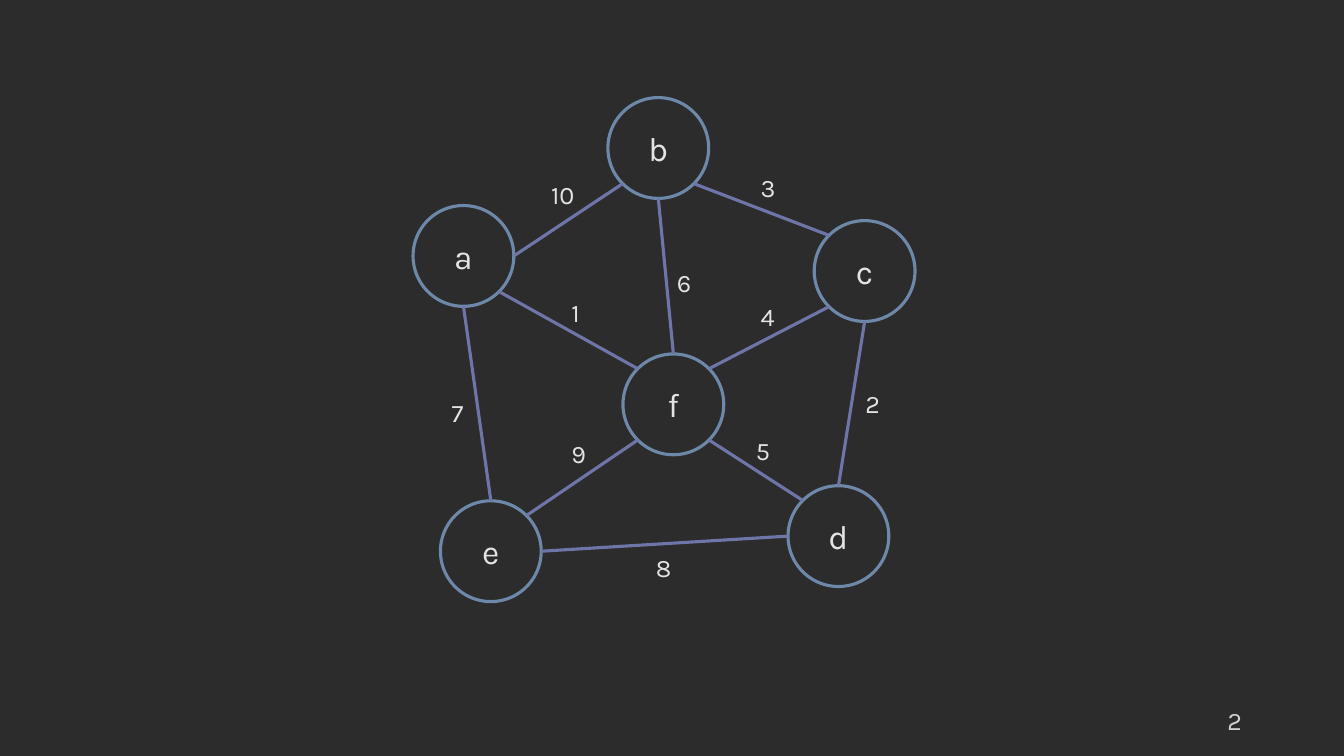
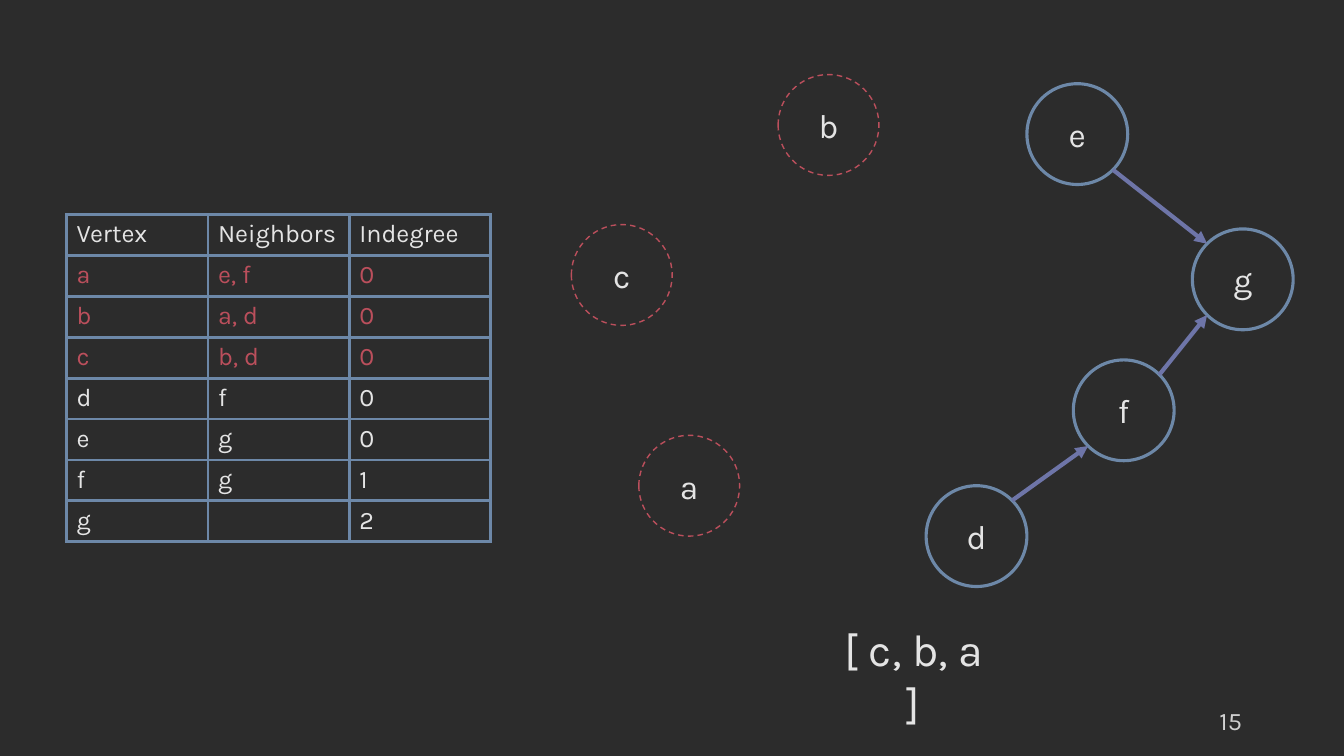
from math import cos, radians, sin

from pptx import Presentation
from pptx.dml.color import RGBColor
from pptx.enum import dml, shapes, text
from pptx.oxml import ns, xmlchemy
from pptx.util import Cm, Pt

BACKGROUND = RGBColor(0x2C, 0x2C, 0x2C)
LIGHT = RGBColor(0xE4, 0xE4, 0xE4)
FOOTER = RGBColor(0xD1, 0xD1, 0xD1)
BLUE = RGBColor(0x6D, 0x88, 0xA8)
VIOLET = RGBColor(0x6E, 0x75, 0xA8)
RED = RGBColor(0xBB, 0x4F, 0x5C)
FONT = "Karla"

NODE = 2.54  # diameter in cm
ANGLES = {"E": 0, "SE": 45, "S": 90, "SW": 135,
          "W": 180, "NW": 225, "N": 270, "NE": 315}

# Weighted graph: node corners, edges with their sides, weight labels
WEIGHTED_NODES = {"a": (0, 2.72), "b": (4.91, 0), "c": (10.11, 3.1),
                  "d": (9.45, 9.78), "e": (0.69, 10.16), "f": (5.29, 6.46)}
WEIGHTED_EDGES = [
    ("a", "E", "b", "SW"), ("a", "SE", "f", "NW"), ("a", "S", "e", "N"),
    ("b", "SE", "c", "NW"), ("b", "S", "f", "N"), ("c", "S", "d", "N"),
    ("e", "E", "d", "W"), ("f", "NE", "c", "SW"), ("f", "SE", "d", "NW"),
    ("f", "SW", "e", "NE")]
WEIGHTS = {"1": (3.74, 4.91), "2": (11.15, 7.19), "3": (8.51, 1.76),
           "4": (8.51, 5.01), "5": (8.39, 8.39), "6": (6.4, 4.14),
           "7": (0.72, 7.42), "8": (5.87, 11.33), "9": (3.74, 8.46),
           "10": (3.23, 1.93)}

# Directed graph: nodes already sorted are dashed
DIRECTED_NODES = {"a": (1.7, 9.09), "b": (5.21, 0), "c": (0, 3.78),
                  "d": (8.94, 10.36), "e": (11.48, 0.23),
                  "f": (12.65, 7.19), "g": (15.65, 3.89)}
DIRECTED_EDGES = [("d", "NE", "f", "SW"), ("e", "SE", "g", "NW"),
                  ("f", "NE", "g", "SW")]
SORTED = "abc"
VERTICES = [("Vertex", "Neighbors", "Indegree"),
            ("a", "e, f", "0"), ("b", "a, d", "0"), ("c", "b, d", "0"),
            ("d", "f", "0"), ("e", "g", "0"), ("f", "g", "1"), ("g", "", "2")]


def write(tf, words, size, color=LIGHT, align=text.PP_ALIGN.LEFT):
    p = tf.paragraphs[0]
    p.alignment = align
    if words:
        r = p.add_run()
        r.text = words
        r.font.name, r.font.size = FONT, Pt(size)
        r.font.color.rgb = color


def add_text(s, box, words, size, wrap=True, **style):
    tf = s.shapes.add_textbox(*map(Cm, box)).text_frame
    tf.word_wrap = wrap
    write(tf, words, size, **style)
    return tf


def add_page(prs, number):
    s = prs.slides.add_slide(prs.slide_layouts[6])
    tf = add_text(s, (23.93, 17.65, 7.62, 1.02), number, 18,
                  color=FOOTER, align=text.PP_ALIGN.RIGHT)
    tf.vertical_anchor = text.MSO_ANCHOR.MIDDLE
    return s


def add_node(s, x, y, name, done):
    sp = s.shapes.add_shape(shapes.MSO_SHAPE.OVAL, Cm(x), Cm(y), Cm(NODE), Cm(NODE))
    sp.shadow.inherit = False
    sp.fill.background()
    sp.line.color.rgb = RED if done else BLUE
    sp.line.width = Pt(1 if done else 2.25)
    if done:
        sp.line.dash_style = dml.MSO_LINE.DASH
    sp.text_frame.vertical_anchor = text.MSO_ANCHOR.MIDDLE
    write(sp.text_frame, name, 24, align=text.PP_ALIGN.CENTER)


def rim_point(corner, side):
    """Point on a node's rim at a compass side."""
    angle, radius = radians(ANGLES[side]), NODE / 2
    return (corner[0] + radius * (1 + cos(angle)),
            corner[1] + radius * (1 + sin(angle)))


def add_edge(s, start, end, arrow):
    c = s.shapes.add_connector(shapes.MSO_CONNECTOR.STRAIGHT,
                               *map(Cm, (*start, *end)))
    c.line.color.rgb = VIOLET
    c.line.width = Pt(3 if arrow else 2.25)
    sp_pr = c._element.spPr
    if arrow:
        tail = xmlchemy.OxmlElement("a:tailEnd")
        tail.set("type", "triangle")
        sp_pr.find(ns.qn("a:ln")).append(tail)
    sp_pr.append(xmlchemy.OxmlElement("a:effectLst"))


def add_graph(s, left, top, nodes, edges, arrows=False, done=""):
    placed = {name: (left + x, top + y) for name, (x, y) in nodes.items()}
    for name, (x, y) in placed.items():
        add_node(s, x, y, name, name in done)
    for start, start_side, end, end_side in edges:
        add_edge(s, rim_point(placed[start], start_side),
                 rim_point(placed[end], end_side), arrows)


def add_weights(s, left, top, weights):
    for weight, (x, y) in weights.items():
        width = 0.53 + 0.33 * len(weight)
        tf = add_text(s, (left + x, top + y, width, 1.02), weight, 18, wrap=False)
        tf.auto_size = text.MSO_AUTO_SIZE.SHAPE_TO_FIT_TEXT


def add_borders(cell):
    tc_pr = cell._tc.get_or_add_tcPr()
    for side in "LRTB":
        ln = xmlchemy.OxmlElement(f"a:ln{side}")
        ln.set("w", str(Pt(2.25)))
        fill = xmlchemy.OxmlElement("a:solidFill")
        color = xmlchemy.OxmlElement("a:srgbClr")
        color.set("val", str(BLUE))
        fill.append(color)
        ln.append(fill)
        tc_pr.append(ln)


def add_vertex_table(s, left, top, col_width, row_height, rows, done):
    n_rows, n_cols = len(rows), len(rows[0])
    table = s.shapes.add_table(
        n_rows, n_cols, Cm(left), Cm(top),
        Cm(col_width * n_cols), Cm(row_height * n_rows)).table
    table.first_row = table.horz_banding = False
    for i, row in enumerate(rows):
        for j, words in enumerate(row):
            cell = table.cell(i, j)
            add_borders(cell)
            cell.fill.background()
            write(cell.text_frame, words, 18, RED if row[0] in done else LIGHT)


def weighted_graph_slide(prs):
    s = add_page(prs, "2")
    left, top = 10.41, 2.46
    add_graph(s, left, top, WEIGHTED_NODES, WEIGHTED_EDGES)
    add_weights(s, left, top, WEIGHTS)


def topological_sort_slide(prs):
    s = add_page(prs, "15")
    add_graph(s, 14.4, 1.88, DIRECTED_NODES, DIRECTED_EDGES,
              arrows=True, done=SORTED)
    add_vertex_table(s, 1.68, 5.41, 3.56, 1.03, VERTICES, SORTED)
    # Sorted output so far
    add_text(s, (21, 15.54, 4.06, 2.8), "[ c, b, a ]", 32,
             align=text.PP_ALIGN.CENTER)


def main():
    prs = Presentation()
    prs.slide_width, prs.slide_height = Cm(33.87), Cm(19.05)
    fill = prs.slide_master.background.fill
    fill.solid()
    fill.fore_color.rgb = BACKGROUND
    weighted_graph_slide(prs)
    topological_sort_slide(prs)
    prs.save("out.pptx")


if __name__ == "__main__":
    main()
